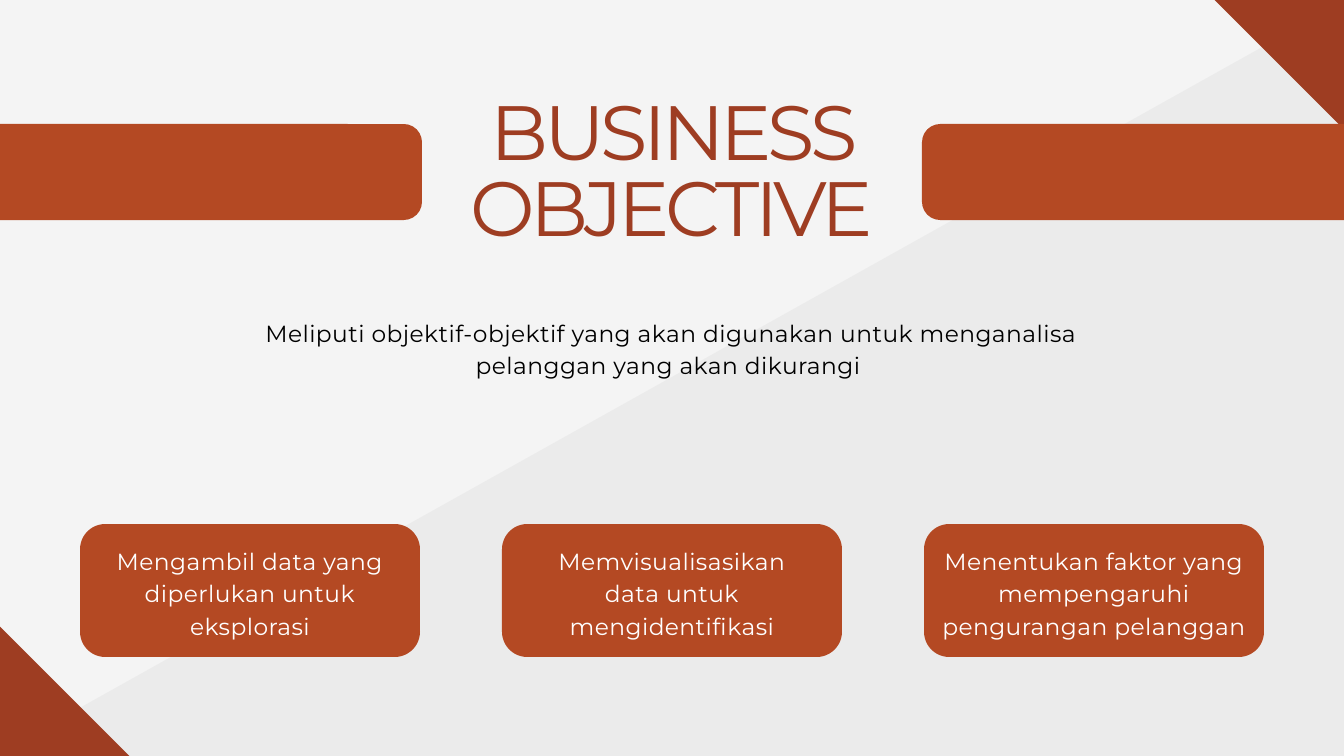
import pptx
import pptx.util
import pptx.dml.color
import pptx.enum.shapes
import pptx.enum.text
import pptx.oxml.ns
import lxml.etree

PX = 914400 / 67.2
COLORS = {
    "background": "F4F4F4",
    "shade": "545454",
    "corner": "9E3D22",
    "panel": "B44923",
    "title": "9E3D22",
    "body": "000000",
    "card_text": "FFFFFF",
}
SHAPES = pptx.enum.shapes.MSO_SHAPE


def add_panel(kind, box, color, rotation=0):
    panel = slide.shapes.add_shape(kind, *[round(v * PX) for v in box])
    panel.shadow.inherit = False
    panel.fill.solid()
    panel.fill.fore_color.rgb = pptx.dml.color.RGBColor.from_string(COLORS[color])
    panel.line.fill.background()
    panel.rotation = rotation
    if kind == SHAPES.ROUNDED_RECTANGLE:
        panel.adjustments[0] = 0.19
    return panel


def add_text(text, box, color, size=25, leading=35, tracking=50):
    frame = slide.shapes.add_textbox(*[round(v * PX) for v in box]).text_frame
    frame.word_wrap = True
    frame.margin_left = frame.margin_right = frame.margin_top = frame.margin_bottom = 0
    paragraph = frame.paragraphs[0]
    paragraph.alignment = pptx.enum.text.PP_ALIGN.CENTER
    paragraph.line_spacing = pptx.util.Pt(leading)
    paragraph.font.name = "Montserrat"
    paragraph.font.size = pptx.util.Pt(size)
    paragraph.font.color.rgb = pptx.dml.color.RGBColor.from_string(COLORS[color])
    run = paragraph.add_run()
    run.text = text
    run._r.get_or_add_rPr().set("spc", str(tracking))


presentation = pptx.Presentation()
presentation.slide_width = round(1344 * PX)
presentation.slide_height = round(756 * PX)
slide = presentation.slides.add_slide(presentation.slide_layouts[6])
slide.background.fill.solid()
slide.background.fill.fore_color.rgb = pptx.dml.color.RGBColor.from_string(COLORS["background"])

shade = add_panel(SHAPES.RECTANGLE, (-82, 320, 1895, 704), "shade", 330.8)
shade_color = shade.fill._xPr.find(".//" + pptx.oxml.ns.qn("a:srgbClr"))
lxml.etree.SubElement(shade_color, pptx.oxml.ns.qn("a:alpha"), val="5000")

for left, top in [(-194, 665), (1150, -91)]:
    add_panel(SHAPES.RECTANGLE, (left, top, 389, 183), "corner", 45)

for left in (-185, 922):
    add_panel(SHAPES.ROUNDED_RECTANGLE, (left, 124, 607, 96), "panel")

add_text("BUSINESS OBJECTIVE", (454, 101, 436, 154), "title", 82.4, 80.7, -480)
add_text(
    "Meliputi objektif-objektif yang akan digunakan untuk menganalisa pelanggan yang akan dikurangi ",
    (249, 314, 845, 63),
    "body",
)

objectives = [
    ("Mengambil data yang diperlukan untuk eksplorasi", 282),
    ("Memvisualisasikan data untuk mengidentifikasi", 282),
    ("Menentukan faktor yang mempengaruhi pengurangan pelanggan", 344),
]
for index, (objective, text_width) in enumerate(objectives):
    card_left = 80 + 422 * index
    add_panel(SHAPES.ROUNDED_RECTANGLE, (card_left, 524, 340, 133), "panel")
    text_left = card_left + (340 - text_width) // 2
    add_text(objective, (text_left, 542, text_width, 95), "card_text")

presentation.save("out.pptx")
